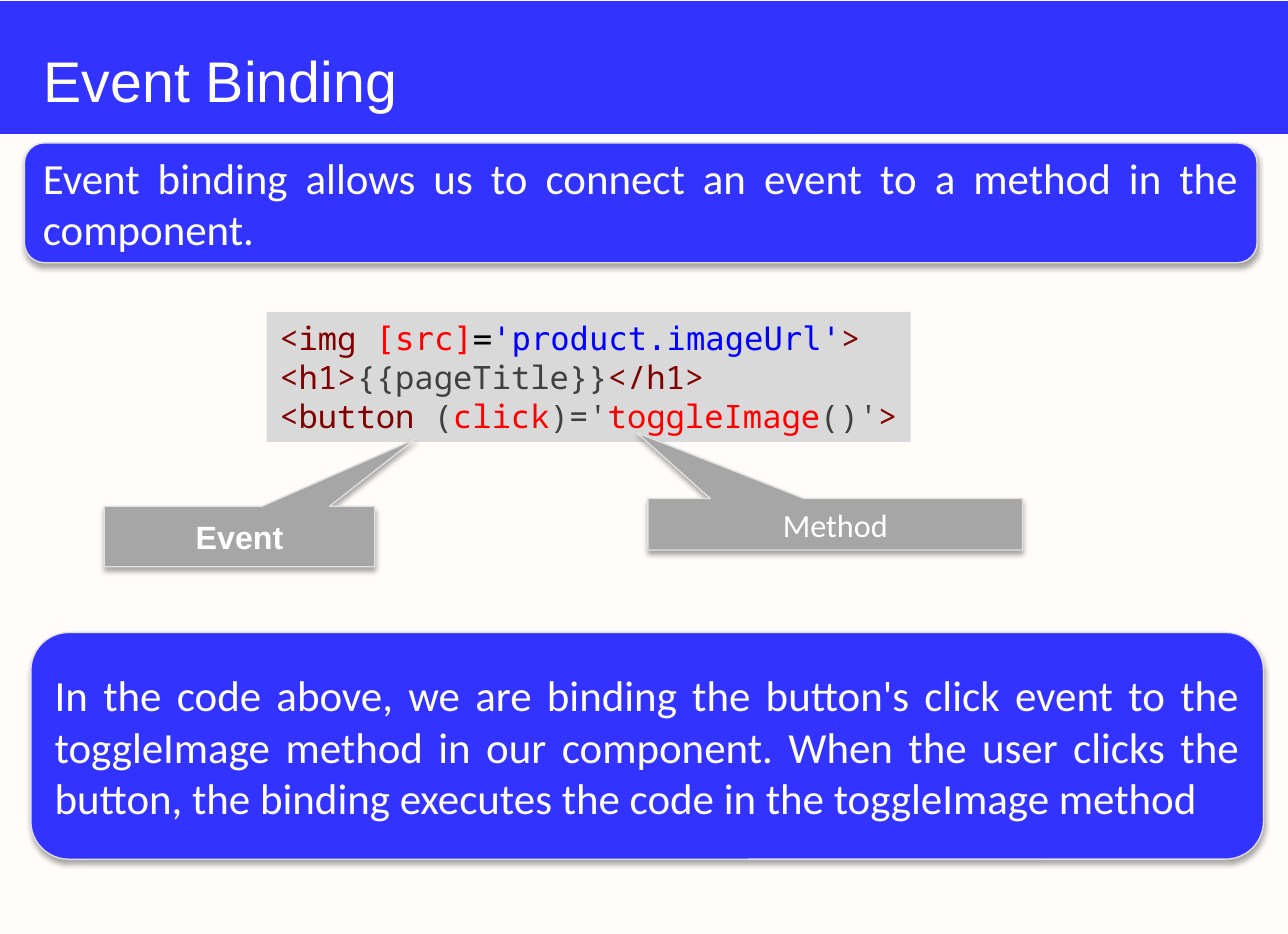
from lxml import etree
from pptx import Presentation
from pptx.dml.color import RGBColor
from pptx.enum.shapes import MSO_SHAPE
from pptx.enum.text import MSO_ANCHOR, MSO_AUTO_SIZE, PP_ALIGN
from pptx.oxml.ns import qn
from pptx.util import Inches, Pt

BLUE = RGBColor(0x33, 0x33, 0xFF)
WHITE = RGBColor(0xFF, 0xFF, 0xFF)
CREAM = RGBColor(0xFF, 0xFC, 0xF9)
EDGE = RGBColor(0xE1, 0xE1, 0xE1)
CALLOUT_GRAY = RGBColor(0xA6, 0xA6, 0xA6)
CODE_GRAY = RGBColor(0xD9, 0xD9, 0xD9)
MAROON = RGBColor(0x81, 0x00, 0x00)
RED = RGBColor(0xFF, 0x00, 0x00)
CODE_BLUE = RGBColor(0x00, 0x00, 0xFF)
BLACK = RGBColor(0x00, 0x00, 0x00)
DARK = RGBColor(0x40, 0x40, 0x40)

MONO = "Noto Sans Mono"
MONO_ALT = "DejaVu Sans Mono"

CODE_LINES = [
    [("<img ", MAROON, MONO), ("[src]", RED, MONO_ALT), ("=", BLACK, MONO_ALT),
     ("'product.imageUrl'", CODE_BLUE, MONO_ALT), (">", MAROON, MONO)],
    [("<h1>", MAROON, MONO), ("{{pageTitle}}", DARK, MONO), ("</h1>", MAROON, MONO)],
    [("<button ", MAROON, MONO), ("(", DARK, MONO), ("click", RED, MONO),
     (")='", DARK, MONO), ("toggleImage", RED, MONO), ("()'", DARK, MONO),
     (">", MAROON, MONO)],
]


class SlideBuilder:
    """Holds the slide and draws its elements in one style."""

    def __init__(self, slide):
        """Keep the slide and paint its background."""
        self.slide = slide
        slide.background.fill.solid()
        slide.background.fill.fore_color.rgb = CREAM

    def box(self, kind, bounds, fill):
        """Add a flat filled shape without outline or shadow."""
        shape = self.slide.shapes.add_shape(kind, *map(Inches, bounds))
        shape.shadow.inherit = False
        shape.fill.solid()
        shape.fill.fore_color.rgb = fill
        shape.line.fill.background()
        return shape

    def title(self, text):
        """Fill the title placeholder and lay the banner behind it."""
        title = self.slide.shapes.title
        banner = self.box(MSO_SHAPE.RECTANGLE, (0, 0.01, 10, 1.03), BLUE)
        title.element.addprevious(banner.element)
        title.left, title.top, title.width, title.height = map(
            Inches, (0.24, 0.27, 9.57, 0.6))
        frame = title.text_frame
        frame.text = text
        frame.auto_size = MSO_AUTO_SIZE.NONE
        frame.vertical_anchor = MSO_ANCHOR.MIDDLE
        frame.margin_top, frame.margin_bottom = Inches(0.09), 0
        self.format(frame.paragraphs[0], PP_ALIGN.LEFT, "Arial", 32)

    def format(self, paragraph, alignment, font_name, size, bold=False):
        """Set alignment and white type on a paragraph."""
        paragraph.alignment = alignment
        font = paragraph.font
        font.name, font.size, font.bold = font_name, Pt(size), bold
        font.color.rgb = WHITE

    def panel(self, kind, bounds, fill, text, alignment, size, font_name="Calibri", bold=False):
        """Add an outlined shape with a soft shadow and centred-height text."""
        shape = self.box(kind, bounds, fill)
        shape.line.color.rgb = EDGE
        shape.line.width = Pt(0.75)
        effects = shape.element.spPr.find(qn("a:effectLst"))
        shadow = etree.SubElement(
            effects, qn("a:outerShdw"), blurRad=str(Pt(3.1)), dist=str(Pt(1.8)),
            dir="5400000", rotWithShape="0")
        color = etree.SubElement(shadow, qn("a:srgbClr"), val="000000")
        etree.SubElement(color, qn("a:alpha"), val="35000")
        frame = shape.text_frame
        frame.text = text
        frame.word_wrap = True
        frame.vertical_anchor = MSO_ANCHOR.MIDDLE
        self.format(frame.paragraphs[0], alignment, font_name, size, bold)
        return shape

    def statement(self, bounds, text):
        """Add a rounded blue panel with justified text."""
        self.panel(MSO_SHAPE.ROUNDED_RECTANGLE, bounds, BLUE, text, PP_ALIGN.JUSTIFY, 24)

    def callout(self, bounds, tip, text, **style):
        """Add a gray callout whose tip is given relative to its size."""
        shape = self.panel(MSO_SHAPE.RECTANGULAR_CALLOUT, bounds, CALLOUT_GRAY,
                           text, PP_ALIGN.CENTER, 18, **style)
        shape.adjustments[0], shape.adjustments[1] = tip

    def code(self, bounds, lines):
        """Add a gray box of coloured code lines."""
        shape = self.box(MSO_SHAPE.RECTANGLE, bounds, CODE_GRAY)
        frame = shape.text_frame
        frame.word_wrap = False
        frame.auto_size = MSO_AUTO_SIZE.SHAPE_TO_FIT_TEXT
        frame.vertical_anchor = MSO_ANCHOR.TOP
        for index, line in enumerate(lines):
            paragraph = frame.add_paragraph() if index else frame.paragraphs[0]
            paragraph.alignment = PP_ALIGN.LEFT
            paragraph.line_spacing = Pt(21.8)
            paragraph.font.size = Pt(18)
            for text, color, font_name in line:
                run = paragraph.add_run()
                run.text = text
                run.font.name = font_name
                run.font.color.rgb = color


def main():
    """Build and save the slide."""
    presentation = Presentation()
    presentation.slide_width = Inches(10)
    presentation.slide_height = Inches(7.25)
    builder = SlideBuilder(presentation.slides.add_slide(presentation.slide_layouts[5]))
    builder.title("Event Binding")
    builder.statement(
        (0.19, 1.11, 9.57, 0.93),
        "Event binding allows us to connect an event to a method in the component.")
    builder.code((2.07, 2.42, 5, 1.01), CODE_LINES)
    builder.callout((0.81, 3.93, 2.1, 0.47), (0.65, -1.61), "Event",
                    font_name="Arial", bold=True)
    builder.callout((5.03, 3.87, 2.91, 0.4), (-0.53, -1.78), "Method")
    builder.statement(
        (0.24, 4.91, 9.57, 1.76),
        "In the code above, we are binding the button's click event to the "
        "toggleImage method in our component. When the user clicks the button, "
        "the binding executes the code in the toggleImage method")
    presentation.save("out.pptx")


main()
